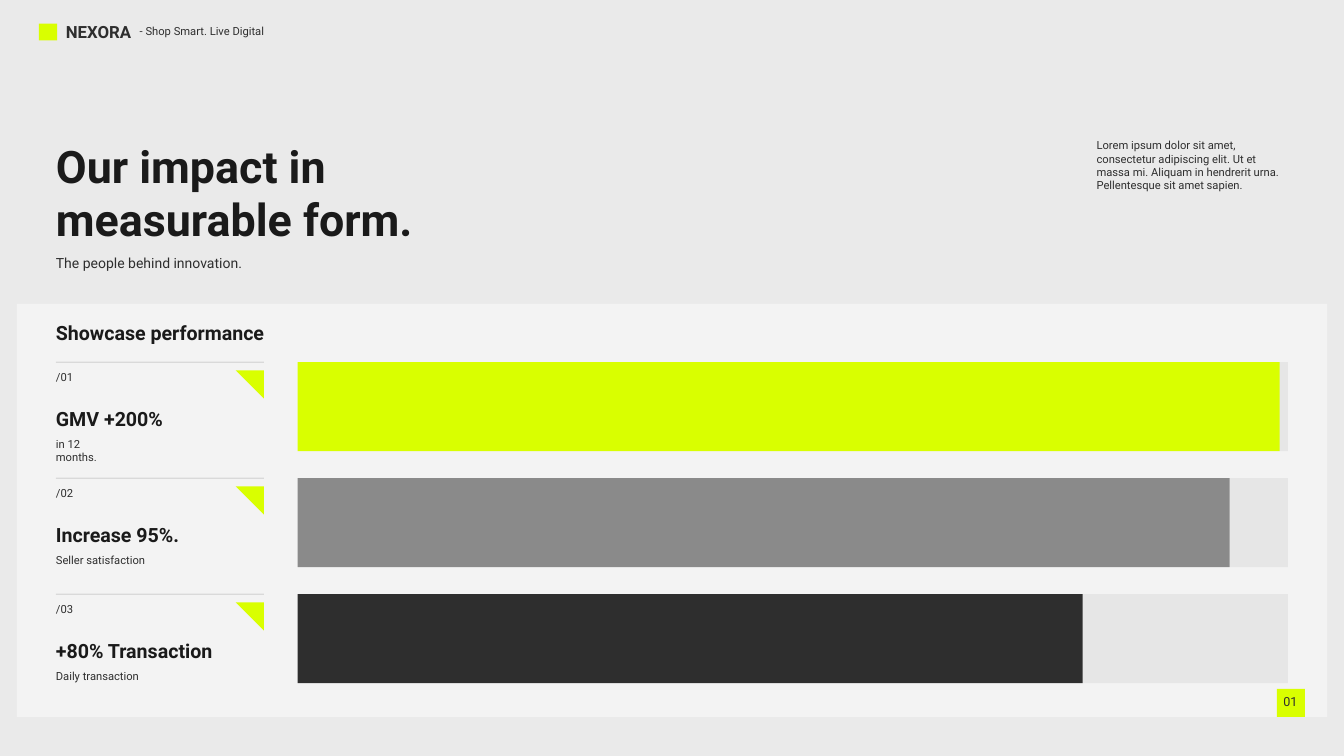
from typing import NamedTuple

from lxml.etree import SubElement
from pptx import Presentation
from pptx.dml.color import RGBColor
from pptx.enum.shapes import MSO_CONNECTOR, MSO_SHAPE
from pptx.oxml.ns import qn
from pptx.util import Pt

FONT = "Roboto"
BACKGROUND = RGBColor(0xEA, 0xEA, 0xEA)
PANEL = RGBColor(0xF3, 0xF3, 0xF3)
LIME = RGBColor(0xD9, 0xFF, 0x00)
GREY = RGBColor(0x8A, 0x8A, 0x8A)
CHARCOAL = RGBColor(0x2E, 0x2E, 0x2E)
INK = RGBColor(0x1A, 0x1A, 0x1A)
BLACK = RGBColor(0x00, 0x00, 0x00)

TEXT_LEFT = 52.8
RULE_LEFT, RULE_RIGHT = 60, 282.7
BAR_LEFT, BAR_RIGHT, BAR_HEIGHT = 319, 1380, 95.3
ROW_TOP, ROW_PITCH = 388, 124.3
CORNER = 30.2


class Metric(NamedTuple):
    number: str
    headline: str
    detail: str
    detail_width: float
    bar_width: float
    color: RGBColor


METRICS = [
    Metric("/01", "GMV +200%", "in 12 months.", 65, 1052, LIME),
    Metric("/02", "Increase 95%.", "Seller satisfaction", 119, 998.6, GREY),
    Metric("/03", "+80% Transaction", "Daily transaction", 111, 841, CHARCOAL),
]


def set_opacity(fill, percent: int) -> None:
    """Add an alpha value to the colour of a solid fill."""
    color = fill._xPr.find(qn("a:solidFill"))[0]
    SubElement(color, qn("a:alpha")).set("val", str(percent * 1000))


def add_block(slide, left: float, top: float, width: float, height: float,
              color: RGBColor, kind=MSO_SHAPE.RECTANGLE):
    block = slide.shapes.add_shape(kind, Pt(left), Pt(top), Pt(width), Pt(height))
    block.shadow.inherit = False
    block.fill.solid()
    block.fill.fore_color.rgb = color
    block.line.fill.background()
    return block


def add_text(slide, left: float, top: float, width: float, height: float,
             lines: list[str], size: float, color: RGBColor = CHARCOAL,
             bold: bool = False) -> None:
    box = slide.shapes.add_textbox(Pt(left), Pt(top), Pt(width), Pt(height))
    frame = box.text_frame
    frame.word_wrap = True
    for index, line in enumerate(lines):
        para = frame.paragraphs[0] if index == 0 else frame.add_paragraph()
        para.text = line
        para.font.name = FONT
        para.font.size = Pt(size)
        para.font.bold = bold
        para.font.color.rgb = color


def add_rule(slide, top: float) -> None:
    rule = slide.shapes.add_connector(
        MSO_CONNECTOR.STRAIGHT, Pt(RULE_LEFT), Pt(top), Pt(RULE_RIGHT), Pt(top))
    rule.line.width = Pt(0.75)
    rule.line.color.rgb = BLACK
    set_opacity(rule.line.fill, 30)
    SubElement(rule._element.spPr, qn("a:effectLst"))


def add_metric(slide, metric: Metric, top: float) -> None:
    """Draw one row: rule, labels, corner triangle, bar and rest of its track."""
    add_rule(slide, top)
    add_text(slide, TEXT_LEFT, top + 5.4, 40, 22, [metric.number], 12)
    corner = add_block(slide, RULE_RIGHT - CORNER, top + 8.8, CORNER, CORNER,
                       LIME, MSO_SHAPE.RIGHT_TRIANGLE)
    corner.rotation = 180
    add_text(slide, TEXT_LEFT, top + 44.2, 204, 32.4, [metric.headline], 21, INK, True)
    add_text(slide, TEXT_LEFT, top + 76.6, metric.detail_width, 22, [metric.detail], 12)
    add_block(slide, BAR_LEFT, top, metric.bar_width, BAR_HEIGHT, metric.color)
    bar_end = BAR_LEFT + metric.bar_width
    rest = add_block(slide, bar_end, top, BAR_RIGHT - bar_end, BAR_HEIGHT, BLACK)
    set_opacity(rest.fill, 5)


def main() -> None:
    deck = Presentation()
    deck.slide_width, deck.slide_height = Pt(1440), Pt(810)
    slide = deck.slides.add_slide(deck.slide_layouts[6])
    slide.background.fill.solid()
    slide.background.fill.fore_color.rgb = BACKGROUND

    add_block(slide, 18, 325.5, 1404, 442.7, PANEL)
    add_block(slide, 41.8, 25.2, 19.4, 18, LIME)
    add_text(slide, 63.4, 19.4, 91.5, 28.8, ["NEXORA"], 18, bold=True)
    add_text(slide, 142.6, 23, 157, 21.6, ["- Shop Smart. Live Digital"], 12)
    add_block(slide, 1368, 738, CORNER, CORNER, LIME)
    add_text(slide, 1368, 740.2, 34, 24.5, ["01"], 13.5)

    add_text(slide, TEXT_LEFT, 269.3, 230.4, 25.2, ["The people behind innovation."], 15)
    add_text(slide, TEXT_LEFT, 339.8, 262, 32.4, ["Showcase performance"], 21, INK, True)
    for index, metric in enumerate(METRICS):
        add_metric(slide, metric, ROW_TOP + index * ROW_PITCH)

    add_text(slide, 1167.8, 144.7, 244.8, 65.5, [
        "Lorem ipsum dolor sit amet,",
        "consectetur adipiscing elit. Ut et",
        "massa mi. Aliquam in hendrerit urna.",
        "Pellentesque sit amet sapien.",
    ], 12)
    add_text(slide, TEXT_LEFT, 144.7, 455.8, 123.8,
             ["Our impact in", "measurable form."], 48, INK, True)
    deck.save("out.pptx")


if __name__ == "__main__":
    main()
